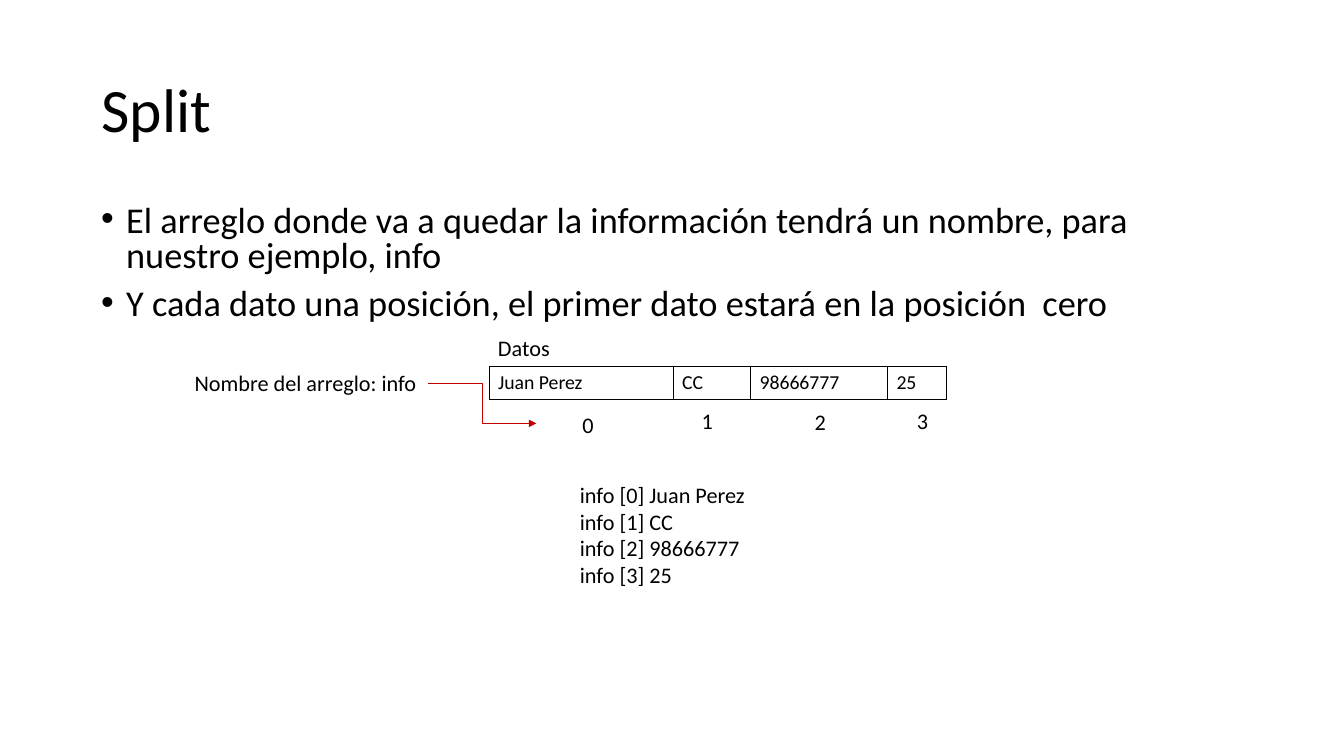
from dataclasses import dataclass

import pptx
import pptx.dml.color
import pptx.enum.shapes
import pptx.enum.text
import pptx.oxml
import pptx.oxml.ns
import pptx.util
from pptx.util import Inches


@dataclass(frozen=True)
class Theme:
    font: str = "Calibri"
    ink: str = "000000"
    arrow: str = "C00000"
    title: float = 49.9
    body: float = 29.4
    label: float = 18
    cell: float = 16


theme = Theme()
A = pptx.oxml.ns.nsdecls("a")


def style(tf, size):
    for p in tf.paragraphs:
        for r in p.runs:
            r.font.name = theme.font
            r.font.size = pptx.util.Pt(size)
            r.font.color.rgb = pptx.dml.color.RGBColor.from_string(theme.ink)


def add_text(s, text, size, left, top, width, height, wrap=False):
    tf = s.shapes.add_textbox(Inches(left), Inches(top), Inches(width), Inches(height)).text_frame
    tf.text = text
    tf.word_wrap = wrap
    style(tf, size)
    return tf


prs = pptx.Presentation()
prs.slide_width, prs.slide_height = Inches(15.11), Inches(8.5)
s = prs.slides.add_slide(prs.slide_layouts[5])

# Title
title = s.shapes.title
title.left, title.top = Inches(1.04), Inches(0.45)
title.width, title.height = Inches(13.03), Inches(1.64)
tf = title.text_frame
tf.text = "Split"
tf.auto_size = pptx.enum.text.MSO_AUTO_SIZE.NONE
tf.vertical_anchor = pptx.enum.text.MSO_ANCHOR.MIDDLE
tf.paragraphs[0].alignment = pptx.enum.text.PP_ALIGN.LEFT
tf.paragraphs[0].line_spacing = 0.9
style(tf, theme.title)

# Bulleted explanation
points = [
    "El arreglo donde va a quedar la información tendrá un nombre, para nuestro ejemplo, info",
    "Y cada dato una posición, el primer dato estará en la posición  cero",
]
tf = add_text(s, "\n".join(points), theme.body, 1.04, 2.26, 13.03, 1.44, wrap=True)
for p in tf.paragraphs:
    p.line_spacing = 0.8
    p.space_before = pptx.util.Pt(11.3)
    pPr = p._p.get_or_add_pPr()
    pPr.set("marL", str(Inches(0.28)))
    pPr.set("indent", str(-Inches(0.28)))
    pPr.append(pptx.oxml.parse_xml(f'<a:buFont {A} typeface="Arial"/>'))
    pPr.append(pptx.oxml.parse_xml(f'<a:buChar {A} char="•"/>'))

# Array table
data = ["Juan Perez", "CC", "98666777", "25"]
widths = [2.07, 0.87, 1.54, 0.66]
table = s.shapes.add_table(
    1, len(data), Inches(5.5), Inches(4.12), Inches(sum(widths)), Inches(0.37)
).table
table.first_row = table.horz_banding = False
for i, (value, width) in enumerate(zip(data, widths)):
    table.columns[i].width = Inches(width)
    cell = table.cell(0, i)
    cell.text = value
    style(cell.text_frame, theme.cell)
    cell.fill.background()
    tcPr = cell._tc.get_or_add_tcPr()
    for n, side in enumerate(("lnL", "lnR", "lnT", "lnB")):
        tcPr.insert(n, pptx.oxml.parse_xml(
            f'<a:{side} {A} w="12700"><a:solidFill><a:srgbClr val="{theme.ink}"/>'
            f'</a:solidFill></a:{side}>'))

# Labels, contents and positions
add_text(s, "Nombre del arreglo: info", theme.label, 2.09, 4.1, 2.73, 0.4)
add_text(s, "Datos", theme.label, 5.5, 3.71, 0.79, 0.4)
contents = "\n".join(f"info [{i}] {value}" for i, value in enumerate(data))
add_text(s, contents, theme.label, 6.42, 5.36, 2.08, 1.31)
for i, (left, top) in enumerate([(6.45, 4.57), (7.79, 4.53), (9.06, 4.54), (10.21, 4.53)]):
    add_text(s, str(i), theme.label, left, top, 0.33, 0.4)

# Arrow from the array name to its positions
arrow = s.shapes.add_connector(
    pptx.enum.shapes.MSO_CONNECTOR.ELBOW, Inches(4.81), Inches(4.31), Inches(6.03), Inches(4.76)
)
arrow.line.color.rgb = pptx.dml.color.RGBColor.from_string(theme.arrow)
arrow.line.width = pptx.util.Pt(0.5)
arrow.line._get_or_add_ln().append(pptx.oxml.parse_xml(f'<a:tailEnd {A} type="triangle"/>'))
arrow._element.spPr.append(pptx.oxml.parse_xml(f"<a:effectLst {A}/>"))

prs.save("out.pptx")
